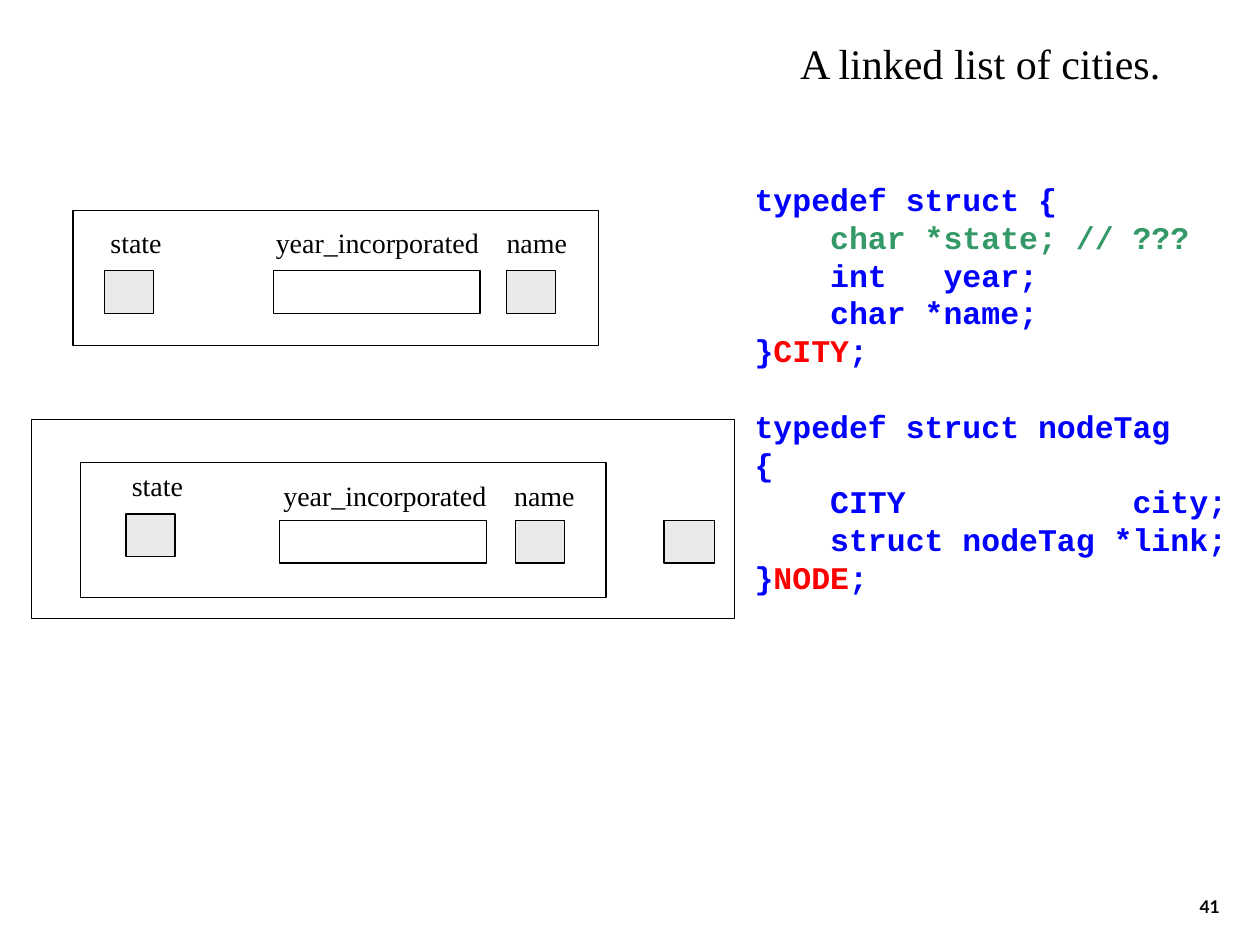
from dataclasses import dataclass

from pptx import Presentation
from pptx.dml.color import RGBColor
from pptx.enum.shapes import MSO_SHAPE
from pptx.enum.text import MSO_ANCHOR, MSO_AUTO_SIZE, PP_ALIGN
from pptx.util import Inches, Pt


@dataclass(frozen=True)
class Theme:
    black: str = "000000"
    white: str = "FFFFFF"
    grey: str = "EAEAEA"
    blue: str = "0000FF"
    green: str = "339966"
    red: str = "FF0000"
    serif: str = "Times New Roman"
    mono: str = "Courier New"
    sans: str = "Lato"
    title: float = 24
    code: float = 18
    pitch: float = 21.6
    label: float = 16
    page: float = 10
    line: float = 0.75


@dataclass(frozen=True)
class Box:
    left: float
    top: float
    width: float
    height: float

    def place(self) -> tuple:
        return tuple(map(Inches, (self.left, self.top, self.width, self.height)))


@dataclass(frozen=True)
class Field:
    name: str
    label: Box
    cell: Box
    fill: str


@dataclass(frozen=True)
class Record:
    frames: tuple[Box, ...]
    fields: tuple[Field, ...]
    links: tuple[Box, ...] = ()


THEME = Theme()


def field(name: str, label: tuple, cell: tuple) -> Field:
    """Make a field from the top left corners of its label and its cell."""
    wide = {"state": 0.6, "year_incorporated": 1.81, "name": 0.68}[name]
    is_year = name == "year_incorporated"
    return Field(name, Box(*label, wide, 0.37),
                 Box(*cell, 1.64 if is_year else 0.39, 0.34),
                 THEME.white if is_year else THEME.grey)


RECORDS = (
    # A city
    Record(
        (Box(0.58, 1.67, 4.17, 1.07),),
        (field("state", (0.78, 1.74), (0.83, 2.15)),
         field("year_incorporated", (2.09, 1.74), (2.17, 2.15)),
         field("name", (3.92, 1.74), (4.02, 2.15))),
    ),
    # A node holding a city and a link
    Record(
        (Box(0.25, 3.33, 5.58, 1.58), Box(0.64, 3.67, 4.17, 1.07)),
        (field("state", (0.95, 3.67), (1, 4.08)),
         field("year_incorporated", (2.15, 3.75), (2.22, 4.13)),
         field("name", (3.98, 3.75), (4.09, 4.13))),
        (Box(5.27, 4.13, 0.4, 0.34),),
    ),
)

# Each struct is a list of lines; a line is a list of (text, colour) runs
STRUCTS = (
    ([("typedef struct {", THEME.blue)],
     [("    char *state; // ???", THEME.green)],
     [("    int   year;", THEME.blue)],
     [("    char *name;", THEME.blue)],
     [("}", THEME.blue), ("CITY", THEME.red), (";", THEME.blue)]),
    ([("typedef struct nodeTag", THEME.blue)],
     [("{", THEME.blue)],
     [("    CITY            city;", THEME.blue)],
     [("    struct nodeTag *link;", THEME.blue)],
     [("}", THEME.blue), ("NODE", THEME.red), (";", THEME.blue)]),
)


def write(para, text: str, *, size: float, face: str, color: str = THEME.black,
          bold: bool = False, align=PP_ALIGN.LEFT) -> None:
    """Add one formatted run to a paragraph."""
    para.alignment = align
    run = para.add_run()
    run.text = text
    run.font.size = Pt(size)
    run.font.name = face
    run.font.bold = bold
    run.font.color.rgb = RGBColor.from_string(color)


def setup(shape, anchor=MSO_ANCHOR.TOP, wrap: bool = False):
    """Prepare the text frame of a shape and return it."""
    frame = shape.text_frame
    frame.word_wrap = wrap
    frame.auto_size = MSO_AUTO_SIZE.NONE
    frame.vertical_anchor = anchor
    return frame


def draw_box(shapes, box: Box, fill: str) -> None:
    rect = shapes.add_shape(MSO_SHAPE.RECTANGLE, *box.place())
    rect.shadow.inherit = False
    rect.fill.solid()
    rect.fill.fore_color.rgb = RGBColor.from_string(fill)
    rect.line.color.rgb = RGBColor.from_string(THEME.black)
    rect.line.width = Pt(THEME.line)


def draw_record(slide, record: Record) -> None:
    shapes = slide.shapes.add_group_shape().shapes
    for box in record.frames:
        draw_box(shapes, box, THEME.white)
    for item in record.fields:
        frame = setup(shapes.add_textbox(*item.label.place()))
        write(frame.paragraphs[0], item.name, size=THEME.label,
              face=THEME.serif, align=PP_ALIGN.CENTER)
        draw_box(shapes, item.cell, item.fill)
    for box in record.links:
        draw_box(shapes, box, THEME.grey)


def draw_code(slide, box: Box) -> None:
    frame = setup(slide.shapes.add_textbox(*box.place()))
    para = frame.paragraphs[0]
    for part, struct in enumerate(STRUCTS):
        for row, line in enumerate(struct):
            if part or row:
                para = frame.add_paragraph()
            para.line_spacing = Pt(THEME.pitch)
            if part and not row:
                para.space_before = Pt(THEME.pitch)
            for text, color in line:
                write(para, text, size=THEME.code, face=THEME.mono,
                      color=color, bold=True)


def main() -> None:
    deck = Presentation()
    deck.slide_width, deck.slide_height = Inches(10), Inches(7.5)
    slide = deck.slides.add_slide(deck.slide_layouts[5])

    # Title
    title = slide.shapes.title
    title.left, title.top, title.width, title.height = Box(6.25, 0.25, 3.08, 0.5).place()
    write(setup(title).paragraphs[0], "A linked list of cities.",
          size=THEME.title, face=THEME.serif)

    # Struct definitions and their diagrams
    draw_code(slide, Box(5.89, 1.38, 3.95, 3.7))
    for record in RECORDS:
        draw_record(slide, record)

    # Page number
    page = slide.shapes.add_textbox(*Box(7.7, 6.83, 2.08, 0.5).place())
    write(setup(page, MSO_ANCHOR.BOTTOM, wrap=True).paragraphs[0], "41",
          size=THEME.page, face=THEME.sans, bold=True, align=PP_ALIGN.RIGHT)

    deck.save("out.pptx")


if __name__ == "__main__":
    main()
